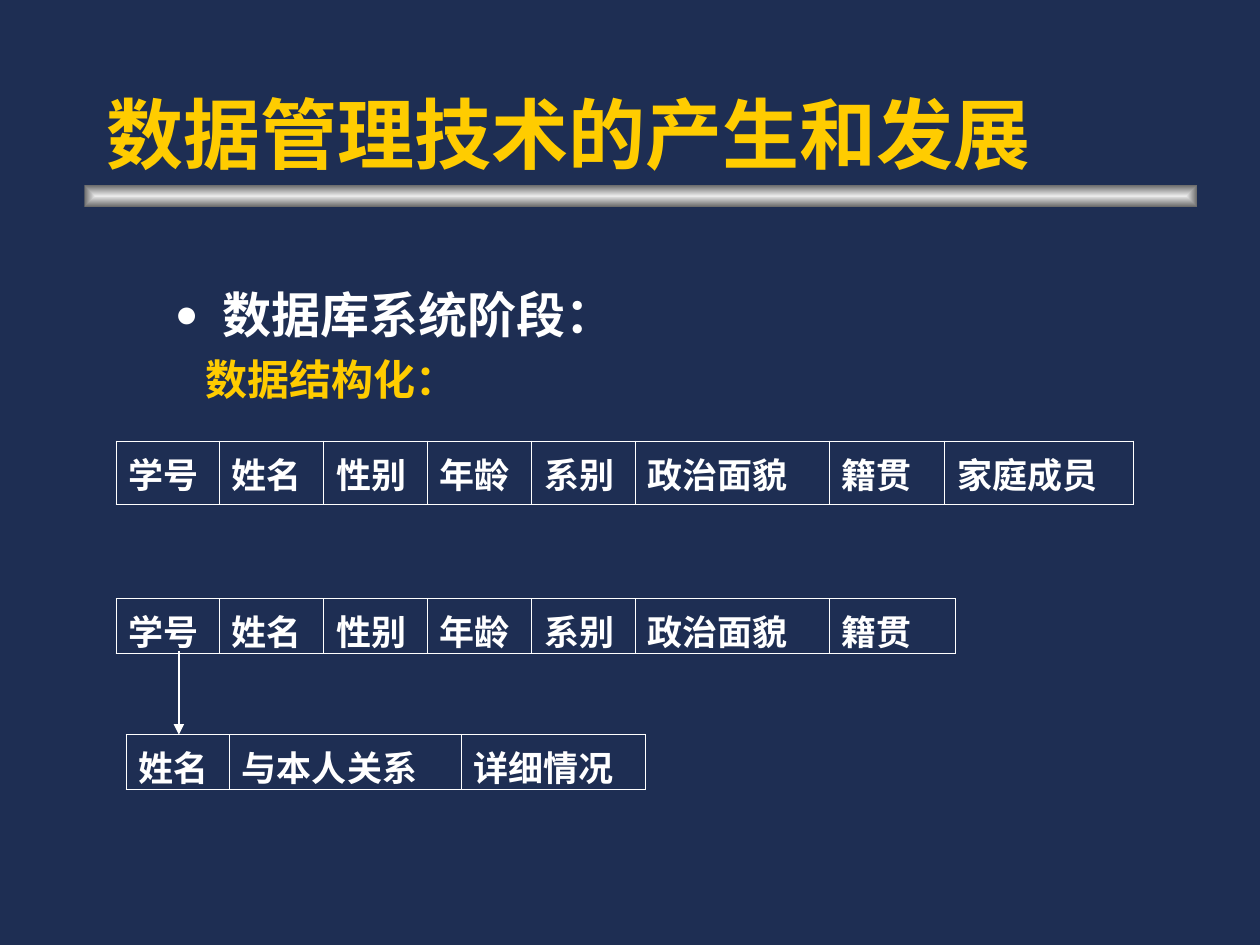
from lxml import etree
from pptx import Presentation
from pptx.dml.color import RGBColor
from pptx.enum.shapes import MSO_CONNECTOR, MSO_SHAPE
from pptx.enum.text import MSO_ANCHOR
from pptx.oxml.ns import qn
from pptx.util import Inches, Pt

STRAIGHT = MSO_CONNECTOR.STRAIGHT
RECTANGLE = MSO_SHAPE.RECTANGLE
TOP, BOTTOM = MSO_ANCHOR.TOP, MSO_ANCHOR.BOTTOM

THEME = {
    "font": "Arial",
    "background": "1E2E53", "accent": "FFCC00", "text": "FFFFFF",
    "bar_center": "EAEAEA", "bar_edge": "6C6C6C",
    "title": 44, "stage": 28, "feature": 24, "cell": 20,
    "border": 0.45, "arrow": 0.75,
}

TITLE = "数据管理技术的产生和发展"
STAGE = "数据库系统阶段："
FEATURE = "数据结构化："
STUDENT_FIELDS = [("学号", 0.82), ("姓名", 0.83), ("性别", 0.82), ("年龄", 0.83),
                  ("系别", 0.82), ("政治面貌", 1.54)]
# left, top, row height, (field, column width)
RECORDS = [
    (0.92, 3.5, 0.5, STUDENT_FIELDS + [("籍贯", 0.92), ("家庭成员", 1.5)]),
    (0.92, 4.75, 0.43, STUDENT_FIELDS + [("籍贯", 1)]),
    (1, 5.83, 0.43, [("姓名", 0.82), ("与本人关系", 1.84), ("详细情况", 1.46)]),
]
ARROW_X, ARROW_TOP, ARROW_BOTTOM = 1.42, 5.17, 5.83


def color(role):
    return RGBColor.from_string(THEME[role])


def write(paragraph, text, size, role="text", before=0):
    paragraph.text = text
    paragraph.space_before = Pt(before)
    font = paragraph.font
    font.name, font.size, font.bold = THEME["font"], Pt(THEME[size]), True
    font.color.rgb = color(role)


def add_text_frame(slide, left, top, width, height, anchor):
    frame = slide.shapes.add_textbox(
        Inches(left), Inches(top), Inches(width), Inches(height)).text_frame
    frame.word_wrap = True
    frame.vertical_anchor = anchor
    return frame


def indent(paragraph, margin, first_line=0):
    properties = paragraph._p.get_or_add_pPr()
    properties.set("marL", str(Inches(margin)))
    properties.set("indent", str(Inches(first_line)))
    return properties


def add_bullet(paragraph):
    properties = indent(paragraph, 0.38, -0.38)
    bullet_color = etree.Element(qn("a:buClr"))
    etree.SubElement(bullet_color, qn("a:srgbClr"), val=THEME["text"])
    bullet_parts = [
        bullet_color,
        etree.Element(qn("a:buSzPct"), val="80000"),
        etree.Element(qn("a:buFont"), typeface=THEME["font"]),
        etree.Element(qn("a:buChar"), char="●"),
    ]
    following = properties.find(qn("a:defRPr"))
    for part in bullet_parts:
        following.addprevious(part)


def add_title_bar(slide):
    bar = slide.shapes.add_shape(
        RECTANGLE, Inches(0.67), Inches(1.47), Inches(8.83), Inches(0.17))
    bar.shadow.inherit = False
    bar.line.fill.background()
    bar.fill.gradient()
    for stop, role in zip(bar.fill.gradient_stops, ("bar_center", "bar_edge")):
        stop.color.rgb = color(role)
    gradient = bar._element.spPr.find(qn("a:gradFill"))
    gradient.remove(gradient.find(qn("a:lin")))
    rays = etree.SubElement(gradient, qn("a:path"))
    rays.set("path", "rect")
    etree.SubElement(rays, qn("a:fillToRect"), l="50000", t="50000", r="50000", b="50000")


def add_borders(cell):
    properties = cell._tc.get_or_add_tcPr()
    for position, side in enumerate(("lnL", "lnR", "lnT", "lnB")):
        line = etree.Element(qn(f"a:{side}"), w=str(Pt(THEME["border"])))
        fill = etree.SubElement(line, qn("a:solidFill"))
        etree.SubElement(fill, qn("a:srgbClr"), val=THEME["text"])
        properties.insert(position, line)


def add_record(slide, left, top, height, fields):
    """Draw one record layout as a single-row table."""
    total_width = sum(width for _, width in fields)
    table = slide.shapes.add_table(
        1, len(fields), Inches(left), Inches(top),
        Inches(total_width), Inches(height)).table
    table.first_row = table.horz_banding = False
    for column, cell, (field, width) in zip(table.columns, table.rows[0].cells, fields):
        column.width = Inches(width)
        cell.fill.background()
        add_borders(cell)
        write(cell.text_frame.paragraphs[0], field, "cell", before=5)


def add_arrow(slide):
    arrow = slide.shapes.add_connector(
        STRAIGHT, Inches(ARROW_X), Inches(ARROW_TOP),
        Inches(ARROW_X), Inches(ARROW_BOTTOM))
    arrow.line.color.rgb = color("text")
    arrow.line.width = Pt(THEME["arrow"])
    etree.SubElement(arrow.line._get_or_add_ln(), qn("a:tailEnd"), type="triangle")
    etree.SubElement(arrow._element.spPr, qn("a:effectLst"))


def main():
    deck = Presentation()
    deck.slide_width, deck.slide_height = Inches(10), Inches(7.5)
    slide = deck.slides.add_slide(deck.slide_layouts[6])
    slide.background.fill.solid()
    slide.background.fill.fore_color.rgb = color("background")

    add_title_bar(slide)
    title = add_text_frame(slide, 0.75, 0.25, 8.5, 1.22, BOTTOM)
    write(title.paragraphs[0], TITLE, "title", "accent")

    body = add_text_frame(slide, 1.29, 2.21, 8.5, 4.96, TOP)
    stage = body.paragraphs[0]
    write(stage, STAGE, "stage", before=7)
    add_bullet(stage)
    feature = body.add_paragraph()
    write(feature, FEATURE, "feature", "accent", before=6)
    indent(feature, 0.24)

    for record in RECORDS:
        add_record(slide, *record)
    add_arrow(slide)
    deck.save("out.pptx")


if __name__ == "__main__":
    main()
